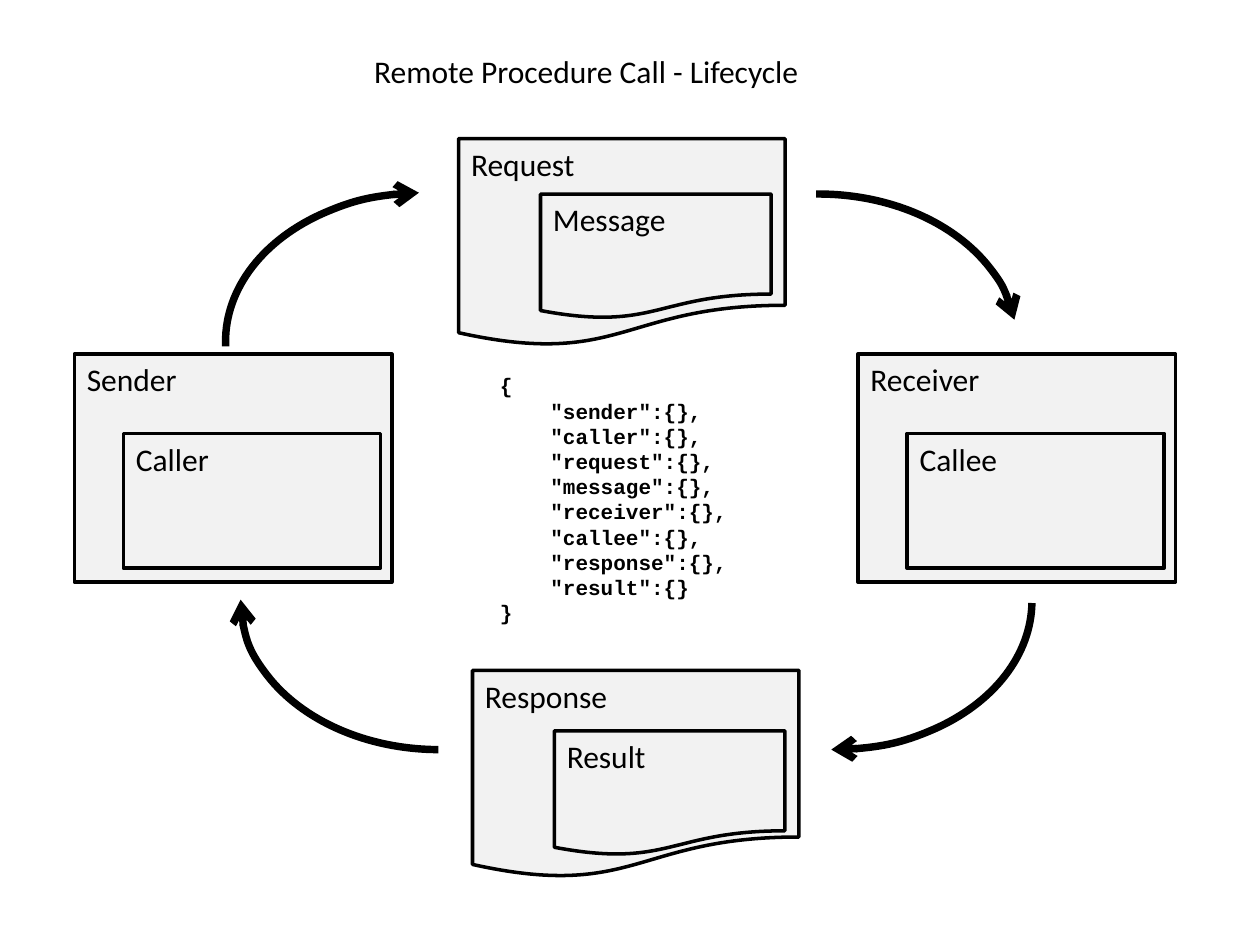
from dataclasses import dataclass

from lxml.etree import SubElement
from pptx import Presentation
from pptx.dml.color import RGBColor
from pptx.enum.shapes import MSO_SHAPE as Preset
from pptx.enum.text import MSO_ANCHOR as Anchor, MSO_AUTO_SIZE as AutoSize, PP_ALIGN as Align
from pptx.oxml.ns import qn
from pptx.util import Inches, Pt


@dataclass(frozen=True)
class Theme:
    ink: RGBColor = RGBColor(0, 0, 0)
    panel: RGBColor = RGBColor(0xF2, 0xF2, 0xF2)
    label_font: str = "Calibri"
    code_font: str = "Courier New"
    label_size: int = 18
    code_size: int = 12
    outline: float = 2
    arrow_line: float = 4.25


@dataclass(frozen=True)
class Box:
    """Left, top, width and height in grid columns and rows."""
    col: float
    row: float
    cols: float
    rows: float

    def inner(self, nested: "Box") -> "Box":
        return Box(self.col + nested.col, self.row + nested.row, nested.cols, nested.rows)


@dataclass(frozen=True)
class Stage:
    label: str
    content: str
    preset: Preset
    box: Box
    nested: Box  # measured from the corner of the outer box


@dataclass(frozen=True)
class Arrow:
    col: float
    row: float
    start: float  # degrees, clockwise from the right
    end: float


THEME = Theme()
COLUMNS, ROWS = 100, 75
ARC_COLS, ARC_ROWS = 31.5, 23.6
CODE_INDENT = 4  # grid columns, four characters of code

# Participants are rectangles, what they exchange are documents
STAGES = [
    Stage("Sender", "Caller", Preset.RECTANGLE,
          Box(5.9, 28.1, 25.2, 18.1), Box(3.9, 6.3, 20.4, 10.7)),
    Stage("Receiver", "Callee", Preset.RECTANGLE,
          Box(68.1, 28.1, 25.2, 18.1), Box(3.9, 6.3, 20.4, 10.7)),
    Stage("Request", "Message", Preset.FLOWCHART_DOCUMENT,
          Box(36.4, 11, 25.9, 16.5), Box(6.5, 4.4, 18.3, 9.9)),
    Stage("Response", "Result", Preset.FLOWCHART_DOCUMENT,
          Box(37.5, 53.2, 25.9, 16.5), Box(6.5, 4.8, 18.3, 9.9)),
]
ARROWS = [
    Arrow(17.9, 15.3, 178.56, 268.05),
    Arrow(49.2, 15.4, 269.13, 353.32),
    Arrow(50.4, 35.9, 0.6, 90.86),
    Arrow(19.1, 35.9, 90.28, 180.37),
]
FIELDS = ["sender", "caller", "request", "message",
          "receiver", "callee", "response", "result"]

deck = Presentation()
deck.slide_width, deck.slide_height = Inches(10), Inches(7.5)
slide = deck.slides.add_slide(deck.slide_layouts[5])
shapes = slide.shapes


def place(box: Box) -> tuple[int, int, int, int]:
    column, row = deck.slide_width / COLUMNS, deck.slide_height / ROWS
    return (round(box.col * column), round(box.row * row),
            round(box.cols * column), round(box.rows * row))


def write(shape, lines: list[str], *, font: str = THEME.label_font,
          size: float = THEME.label_size, bold: bool = False, wrap: bool = True) -> None:
    frame = shape.text_frame
    frame.word_wrap = wrap
    frame.auto_size = AutoSize.NONE
    frame.vertical_anchor = Anchor.TOP
    frame.text = "\n".join(lines)
    for paragraph in frame.paragraphs:
        paragraph.alignment = Align.LEFT
        style = paragraph.font
        style.name, style.size, style.bold = font, Pt(size), bold
        style.color.rgb = THEME.ink
        for run in paragraph.runs:
            run.font.name, run.font.size, run.font.bold = font, Pt(size), bold
            run.font.color.rgb = THEME.ink


def draw_panel(preset: Preset, box: Box, label: str) -> None:
    panel = shapes.add_shape(preset, *place(box))
    panel.shadow.inherit = False
    panel.fill.solid()
    panel.fill.fore_color.rgb = THEME.panel
    panel.line.color.rgb = THEME.ink
    panel.line.width = Pt(THEME.outline)
    write(panel, [label])


def draw_arrow(arrow: Arrow) -> None:
    arc = shapes.add_shape(Preset.ARC, *place(Box(arrow.col, arrow.row, ARC_COLS, ARC_ROWS)))
    arc.shadow.inherit = False
    arc.fill.background()
    # An angle unit is 1/60000 degree, an adjustment unit is 100000 of them
    arc.adjustments[0] = arrow.start * 0.6
    arc.adjustments[1] = arrow.end * 0.6
    arc.line.color.rgb = THEME.ink
    arc.line.width = Pt(THEME.arrow_line)
    SubElement(arc.line._get_or_add_ln(), qn("a:tailEnd"), type="arrow")


# Title
title = shapes.title
title.left, title.top, title.width, title.height = place(Box(28.7, 3.6, 36.1, 4))
write(title, ["Remote Procedure Call - Lifecycle"], wrap=False)

# Stages of the cycle
for stage in STAGES:
    draw_panel(stage.preset, stage.box, stage.label)
    draw_panel(stage.preset, stage.box.inner(stage.nested), stage.content)

# Arrows around the cycle
for arrow in ARROWS:
    draw_arrow(arrow)

# Envelope in JSON, its fields indented
envelope = shapes.add_textbox(*place(Box(38.7, 29.1, 21.3, 21.2)))
entries = [f'"{field}":{{}}' + ("," if field != FIELDS[-1] else "") for field in FIELDS]
write(envelope, ["{", *entries, "}"], font=THEME.code_font, size=THEME.code_size, bold=True)
for entry in envelope.text_frame.paragraphs[1:-1]:
    indent = round(CODE_INDENT * deck.slide_width / COLUMNS)
    entry._p.get_or_add_pPr().set("marL", str(indent))

deck.save("out.pptx")
